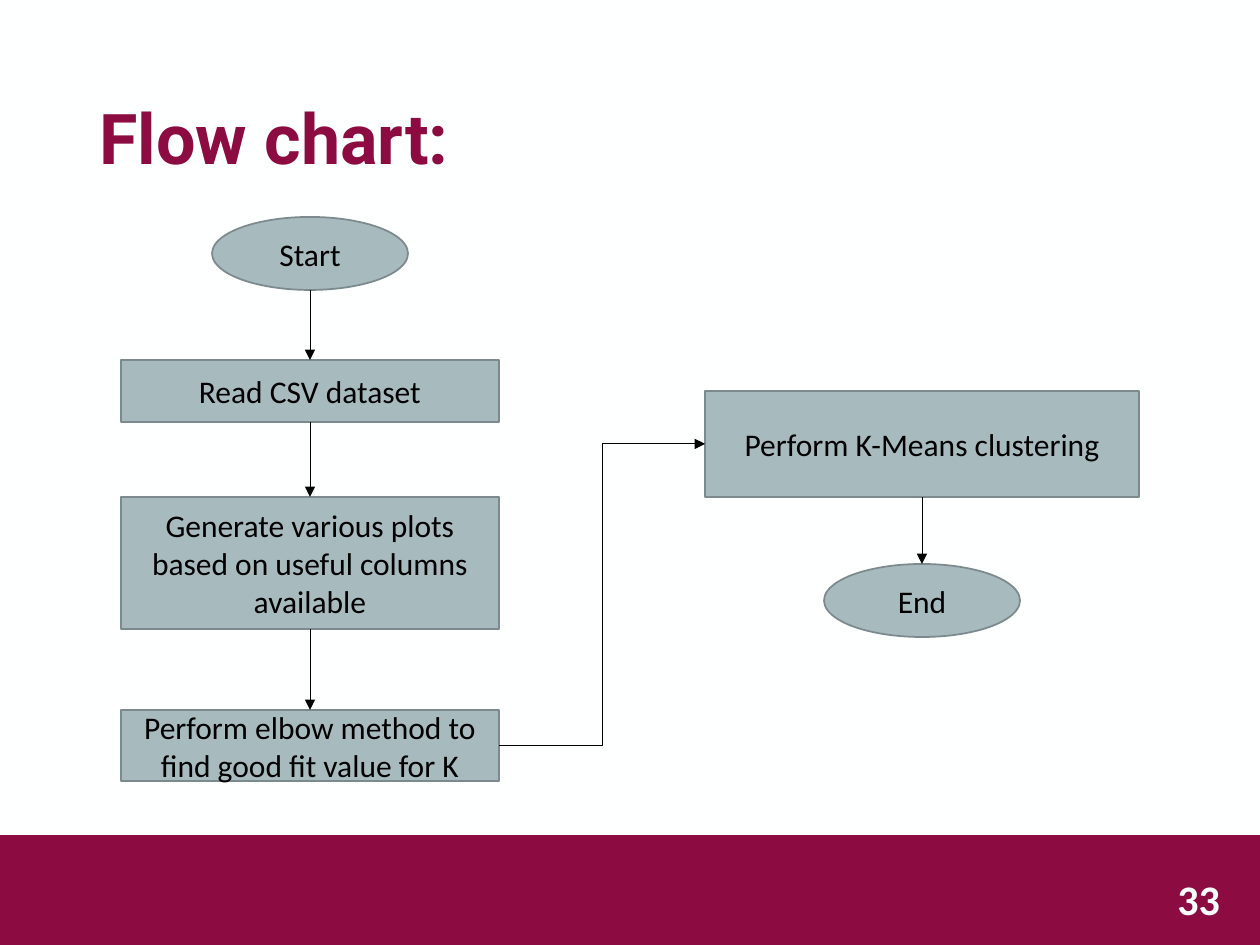
"""Build a flow chart slide for K-Means clustering."""
from pptx import Presentation
from pptx.dml.color import RGBColor
from pptx.enum.shapes import MSO_CONNECTOR, MSO_SHAPE
from pptx.enum.text import MSO_ANCHOR, PP_ALIGN
from pptx.oxml.ns import qn
from pptx.util import Emu, Pt
from lxml import etree

RECT, OVAL = MSO_SHAPE.RECTANGLE, MSO_SHAPE.OVAL
LINE, ELBOW = MSO_CONNECTOR.STRAIGHT, MSO_CONNECTOR.ELBOW
LEFT, CENTER = PP_ALIGN.LEFT, PP_ALIGN.CENTER
MIDDLE, TOP = MSO_ANCHOR.MIDDLE, MSO_ANCHOR.TOP
ABOVE, WEST, BELOW, EAST = range(4)
OVAL_BELOW = 4
SCALE = 914400 / 126
COLORS = {"page": "FEFFFF", "wine": "8C0B41", "node": "A7BABE",
          "edge": "7C8A8D", "ink": "000000"}


def px(n):
    return Emu(round(n * SCALE))


def color(name):
    return RGBColor.from_string(COLORS[name])


def write(shape, text, size, tint, font="Calibri", bold=False,
          align=LEFT, anchor=MIDDLE):
    frame = shape.text_frame
    frame.text = text
    frame.word_wrap = True
    frame.vertical_anchor = anchor
    para = frame.paragraphs[0]
    para.alignment = align
    for run in para.runs:
        run.font.size = Pt(size)
        run.font.name = font
        run.font.bold = bold
        run.font.color.rgb = color(tint)
    return para


def block(slide, kind, box, fill, edge=None):
    shape = slide.shapes.add_shape(kind, *map(px, box))
    shape.shadow.inherit = False
    shape.fill.solid()
    shape.fill.fore_color.rgb = color(fill)
    if edge:
        shape.line.color.rgb = color(edge)
        shape.line.width = Pt(1)
    else:
        shape.line.fill.background()
    return shape


def node(slide, kind, mid, top, width, height, text):
    box = (mid - width / 2, top, width, height)
    shape = block(slide, kind, box, "node", "edge")
    write(shape, text, 18, "ink", align=CENTER)
    return shape


def link(slide, start, end, sides=(BELOW, ABOVE), kind=LINE):
    wire = slide.shapes.add_connector(kind, 0, 0, 0, 0)
    wire.begin_connect(start, sides[0])
    wire.end_connect(end, sides[1])
    if start.auto_shape_type == OVAL:
        wire.element.nvCxnSpPr.cNvCxnSpPr.stCxn.idx = OVAL_BELOW
    wire.line.color.rgb = color("ink")
    wire.line.width = Pt(0.5)
    etree.SubElement(wire.line._get_or_add_ln(), qn("a:tailEnd"), type="triangle")
    etree.SubElement(wire.element.spPr, qn("a:effectLst"))


def head(slide, text):
    title = slide.shapes.title
    title.left, title.top, title.width, title.height = map(px, (87, 50, 1086, 183))
    para = write(title, text, 40, "wine", "Roboto", True)
    para.line_spacing = 0.9


def foot(slide, text):
    block(slide, RECT, (0, 835, 1260, 110), "wine")
    label = slide.shapes.add_textbox(*map(px, (1165, 867, 68, 63)))
    write(label, text, 24, "page", bold=True, anchor=TOP)


def chart(slide):
    mid, far = 310, 922
    steps = [
        node(slide, OVAL, mid, 217, 196, 73, "Start"),
        node(slide, RECT, mid, 360, 378, 62, "Read CSV dataset"),
        node(slide, RECT, mid, 497, 378, 132,
             "Generate various plots based on useful columns available"),
        node(slide, RECT, mid, 710, 378, 71,
             "Perform elbow method to find good fit value for K"),
    ]
    means = node(slide, RECT, far, 391, 434, 106, "Perform K-Means clustering")
    end = node(slide, OVAL, far, 564, 196, 73, "End")
    for start, stop in zip(steps, steps[1:]):
        link(slide, start, stop)
    link(slide, steps[-1], means, (EAST, WEST), ELBOW)
    link(slide, means, end)


def main():
    deck = Presentation()
    deck.slide_width, deck.slide_height = px(1260), px(945)
    slide = deck.slides.add_slide(deck.slide_layouts[5])
    slide.background.fill.solid()
    slide.background.fill.fore_color.rgb = color("page")
    head(slide, "Flow chart:")
    chart(slide)
    foot(slide, "33")
    deck.save("out.pptx")


if __name__ == "__main__":
    main()
